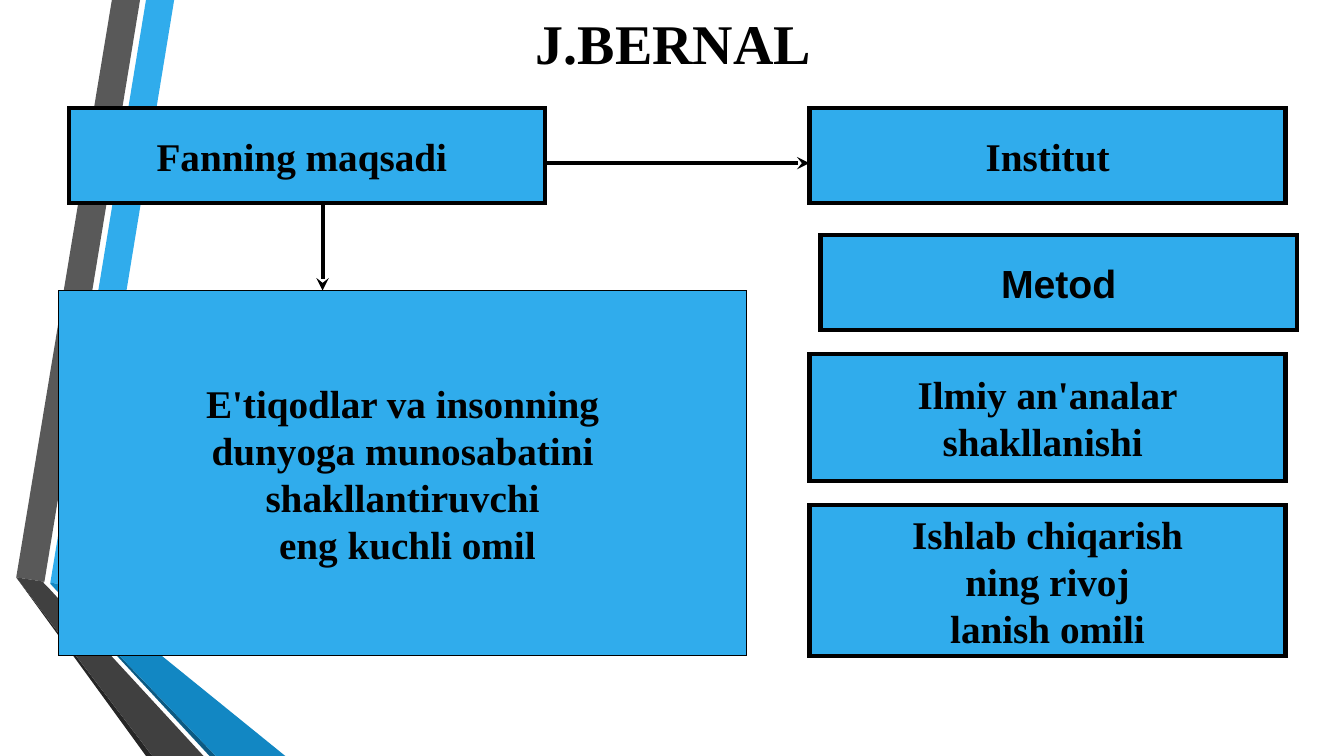
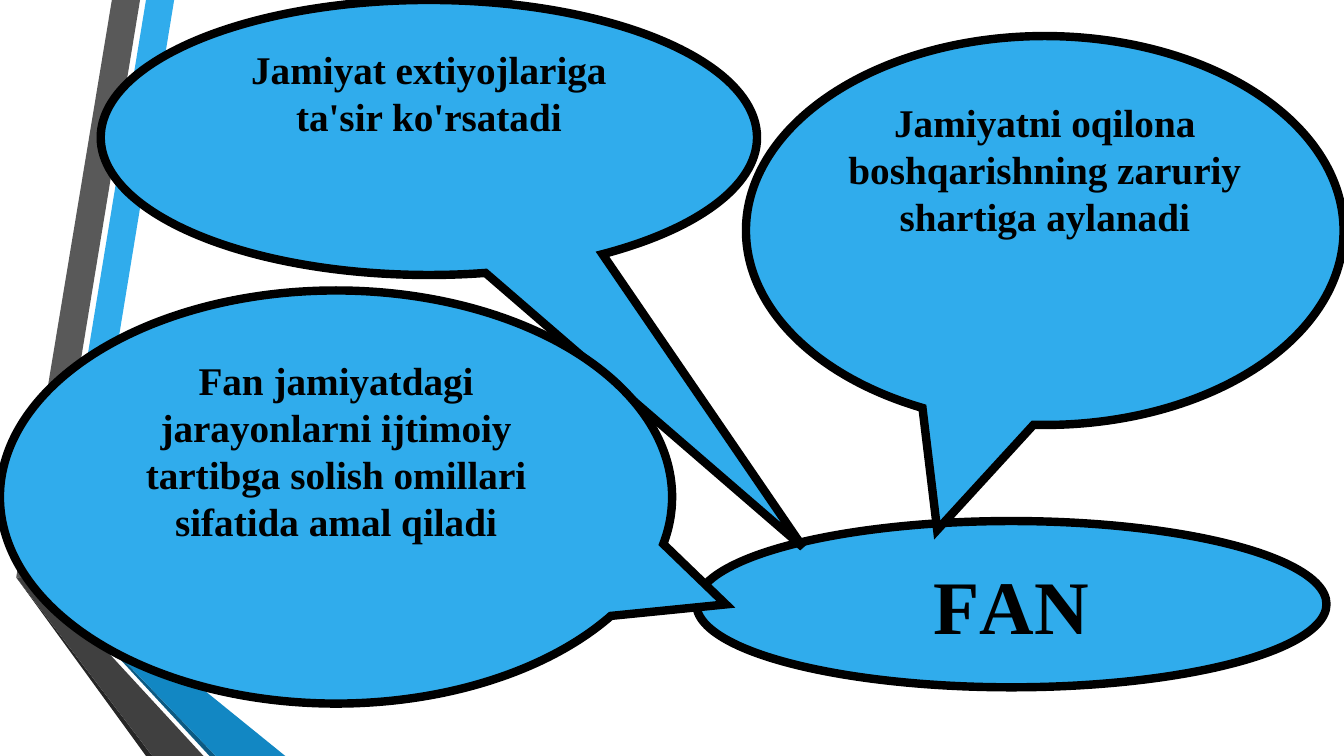
from pptx import Presentation
from pptx import util as u
from pptx.dml.color import RGBColor
from pptx.enum import dml, shapes, text
from pptx.oxml.ns import qn
from lxml import etree

THEME = {
    "blue": "30ACEC", "ink": "000000",
    "serif": "Times New Roman", "sans": "Arial",
    "title": 40, "body": 28, "big": 54,
    "thin": 0.75, "line": 3, "bold": 6,
}
BANDS = [
    ("30ACEC", [(1.27, 14.68), (1.96, 14.81), (4.39, 0), (3.68, 0)]),
    ("595959", [(3.53, 0), (2.82, 0), (0.41, 14.55), (1.12, 14.66)]),
    ("262626", [(0.41, 14.55), (3.68, 19.05), (3.84, 19.05)]),
    ("0C5A82", [(1.27, 14.71), (5.28, 19.05), (5.44, 19.05)]),
    ("1287C3", [(1.27, 14.71), (5.44, 19.05), (7.19, 19.05), (1.96, 14.81),
                (1.27, 14.68)]),
    ("404040", [(5.13, 19.05), (1.22, 14.81), (1.09, 14.68), (1.12, 14.66),
                (0.41, 14.55), (3.84, 19.05)]),
]
KIND = shapes.MSO_SHAPE
MID, TOP = text.MSO_ANCHOR.MIDDLE, text.MSO_ANCHOR.TOP


def write(shape, words, size="body", face="serif", anchor=MID, wrap=False):
    """Fill a shape with centred bold text, one paragraph per line of words."""
    frame = shape.text_frame
    frame.text = words
    frame.word_wrap = wrap
    frame.vertical_anchor = anchor
    look = {"size": u.Pt(THEME[size]), "name": THEME[face], "bold": True}
    for para in frame.paragraphs:
        para.alignment = text.PP_ALIGN.CENTER
        for run in para.runs:
            for key, value in look.items():
                setattr(run.font, key, value)
            run.font.color.rgb = RGBColor.from_string(THEME["ink"])


def panel(slide, kind, box, width="line"):
    """Add a blue shape with a black mitred outline; box is in cm."""
    shape = slide.shapes.add_shape(kind, *map(u.Cm, box))
    shape.shadow.inherit = False
    shape.fill.solid()
    shape.fill.fore_color.rgb = RGBColor.from_string(THEME["blue"])
    shape.line.color.rgb = RGBColor.from_string(THEME["ink"])
    shape.line.width = u.Pt(THEME[width])
    outline = shape.element.spPr.find(qn("a:ln"))
    etree.SubElement(outline, qn("a:miter"), lim="800000")
    return shape


deck = Presentation()
deck.slide_width, deck.slide_height = u.Cm(33.87), u.Cm(19.05)
goal = deck.slides.add_slide(deck.slide_layouts[5])
role = deck.slides.add_slide(deck.slide_layouts[6])

# Ribbon on the master, shared by both slides
for num, (color, points) in enumerate(BANDS):
    start, *rest = [(u.Cm(x), u.Cm(y)) for x, y in points]
    pen = goal.shapes.build_freeform(*start)
    pen.add_line_segments(rest, close=True)
    band = pen.convert_to_shape()
    band.shadow.inherit = False
    band.fill.solid()
    band.fill.fore_color.rgb = RGBColor.from_string(color)
    band.line.fill.background()
    band.element.find(".//" + qn("p:cNvPr")).set("id", str(100 + num))
    deck.slide_master.shapes.element.append(band.element)

# Slide 1: boxes and arrows
title = goal.shapes.title
place = {"left": 1.73, "top": 0, "width": 30.48, "height": 2.13}
for key, value in place.items():
    setattr(title, key, u.Cm(value))
write(title, "J.BЕRNАL", "title", wrap=True)

left, right, wide, tall = 1.73, 20.4, 12, 2.4
boxes = [
    ((left, 2.72, wide, tall), "Fаnning mаqsаdi ", "serif", "line"),
    ((right, 2.72, wide, tall), "Institut", "serif", "line"),
    ((right, 8.92, wide, 3.2), "Ilmiy аn'аnаlаr\nshаkllаnishi ", "serif", "line"),
    ((20.68, 5.92, wide, tall), "Mеtоd", "sans", "line"),
    ((right, 12.73, wide, 3.81), "Ishlаb chiqаrish\nning rivоj\nlаnish оmili",
     "serif", "line"),
    ((1.47, 7.32, 17.35, 9.2),
     "E'tiqоdlаr vа insоnning\n dunyogа munоsаbаtini \n"
     "shаkllаntiruvchi\n eng kuchli оmil", "serif", "thin"),
]
for box, words, face, width in boxes:
    write(panel(goal, KIND.RECTANGLE, box, width), words, face=face)

for ends in [(8.13, 5.12, 8.13, 7.32), (left + wide, 4.11, right, 4.11)]:
    arrow = goal.shapes.add_connector(shapes.MSO_CONNECTOR.STRAIGHT, *map(u.Cm, ends))
    arrow.line.color.rgb = RGBColor.from_string(THEME["ink"])
    arrow.line.width = u.Pt(THEME["line"])
    props = arrow.element.spPr
    etree.SubElement(props.find(qn("a:ln")), qn("a:tailEnd"), type="stealth")
    etree.SubElement(props, qn("a:effectLst"))

# Slide 2: callouts pointing at the oval
oval = panel(role, KIND.OVAL, (17.55, 13.13, 15.88, 4.19), "bold")
write(oval, "FАN", "big")

calls = [
    ((18.8, 0.91, 15.06, 9.8), (-0.18, 0.77),
     "Jаmiyatni оqilоnа bоshqаrishning zаruriy shаrtigа аylаnаdi"),
    ((2.54, 0, 16.54, 6.93), (0.57, 1.49),
     "Jаmiyat eхtiyojlаrigа tа'sir ko'rsаtаdi"),
    ((0, 7.32, 16.94, 10.41), (0.58, 0.26),
     "Fаn jаmiyatdаgi jаrаyonlаrni ijtimоiy tаrtibgа sоlish оmillаri "
     "sifаtidа аmаl qilаdi"),
]
for box, tip, words in calls:
    call = panel(role, KIND.OVAL_CALLOUT, box, "bold")
    call.adjustments[0], call.adjustments[1] = tip
    write(call, words, anchor=TOP, wrap=True)

deck.save("out.pptx")
